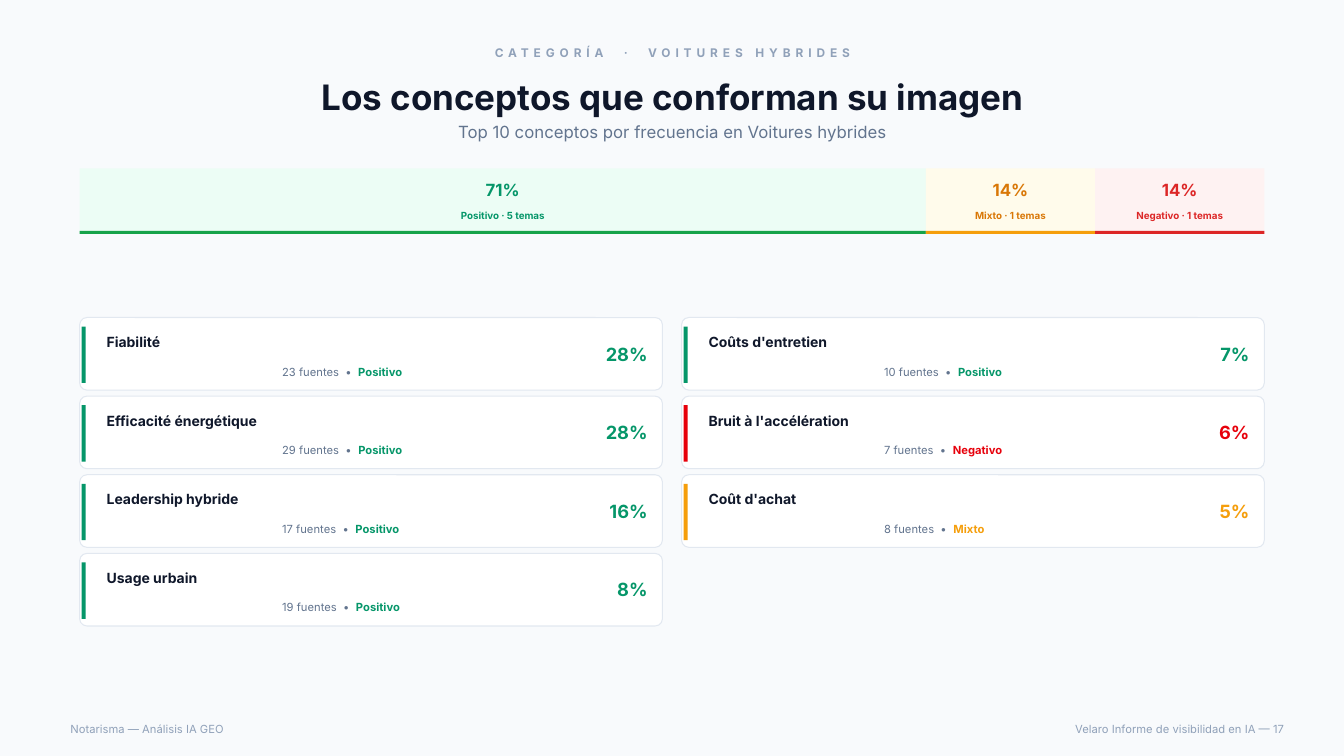
import pptx
import pptx.util
import pptx.dml.color
import pptx.enum.shapes
import pptx.enum.text

Inches, Pt = pptx.util.Inches, pptx.util.Pt
RGB = pptx.dml.color.RGBColor.from_string
ALIGN = pptx.enum.text.PP_ALIGN
ANCHOR = pptx.enum.text.MSO_ANCHOR
SHAPE = pptx.enum.shapes.MSO_SHAPE

THEME = {
    "font": "Inter",
    "color": {
        "back": "F8FAFC", "card": "FFFFFF", "edge": "E2E8F0",
        "ink": "0F172A", "soft": "62748E", "pale": "90A1B9",
    },
    # tone: (band fill, band line, band text, card accent)
    "tone": {
        "Positivo": ("ECFDF5", "16A34A", "059669", "059669"),
        "Mixto": ("FFFBEB", "F59E0B", "D97706", "F59E0B"),
        "Negativo": ("FEF2F2", "DC2626", "DC2626", "E7000B"),
    },
    "type": {
        "kicker": {"size": Pt(8.5), "bold": True},
        "title": {"size": Pt(25), "bold": True},
        "lead": {"size": Pt(12), "bold": False},
        "foot": {"size": Pt(8), "bold": False},
        "share": {"size": Pt(12), "bold": True},
        "topics": {"size": Pt(7), "bold": True},
        "name": {"size": Pt(10), "bold": True},
        "meta": {"size": Pt(8), "bold": False},
        "mood": {"size": Pt(8), "bold": True},
        "score": {"size": Pt(13), "bold": True},
    },
}
COLOR, TONE = THEME["color"], THEME["tone"]

deck = pptx.Presentation()
deck.slide_width, deck.slide_height = Inches(13.33), Inches(7.5)
slide = deck.slides.add_slide(deck.slide_layouts[5])
slide.background.fill.solid()
slide.background.fill.fore_color.rgb = RGB(COLOR["back"])


def block(kind, left, top, width, height, fill):
    shape = slide.shapes.add_shape(
        kind, Inches(left), Inches(top), Inches(width), Inches(height))
    shape.shadow.inherit = False
    shape.fill.solid()
    shape.fill.fore_color.rgb = RGB(fill)
    shape.line.fill.background()
    return shape


def write(area, parts, align=ALIGN.LEFT, anchor=ANCHOR.MIDDLE, shape=None):
    """Fill a new text box, or the given shape, with (text, type, colour) runs."""
    left, top, width, height = (Inches(side) for side in area)
    if shape is None:
        shape = slide.shapes.add_textbox(left, top, width, height)
    place = {"left": left, "top": top, "width": width, "height": height}
    for key, value in place.items():
        setattr(shape, key, value)
    frame = shape.text_frame
    setup = {"word_wrap": True, "vertical_anchor": anchor,
             "auto_size": pptx.enum.text.MSO_AUTO_SIZE.NONE}
    for key, value in setup.items():
        setattr(frame, key, value)
    para = frame.paragraphs[0]
    para.alignment = align
    for text, kind, color in parts:
        run = para.add_run()
        run.text = text
        run.font.name = THEME["font"]
        run.font.color.rgb = RGB(color)
        for key, value in THEME["type"][kind].items():
            setattr(run.font, key, value)
    return shape


# Heading
kicker = write((0.6, 0.4, 12.14, 0.25),
               [("CATEGORÍA  ·  VOITURES HYBRIDES", "kicker", COLOR["pale"])],
               ALIGN.CENTER)
kicker.text_frame.paragraphs[0].runs[0].font._element.set("spc", "350")
write((0.6, 0.68, 12.14, 0.56),
      [("Los conceptos que conforman su imagen", "title", COLOR["ink"])],
      ALIGN.CENTER, shape=slide.shapes.title)
write((0.6, 1.18, 12.14, 0.25),
      [("Top 10 conceptos por frecuencia en Voitures hybrides", "lead", COLOR["soft"])],
      ALIGN.CENTER)

# Footer
write((0.6, 7.12, 5.97, 0.22),
      [("Notarisma — Análisis IA GEO", "foot", COLOR["pale"])])
write((6.81, 7.12, 6.03, 0.22),
      [("Velaro Informe de visibilidad en IA — 17", "foot", COLOR["pale"])],
      ALIGN.RIGHT)

# Tone band: each part is as wide as its number of topics
bands = [("Positivo", 5, "71%"), ("Mixto", 1, "14%"), ("Negativo", 1, "14%")]
unit = 11.75 / sum(count for tone, count, share in bands)
left = 0.79
for tone, count, share in bands:
    fill, line, ink, accent = TONE[tone]
    width = count * unit
    block(SHAPE.RECTANGLE, left, 1.67, width, 0.65, fill)
    block(SHAPE.RECTANGLE, left, 2.29, width, 0.03, line)
    write((left, 1.74, width, 0.28), [(share, "share", ink)], ALIGN.CENTER)
    write((left, 2.03, width, 0.22),
          [(f"{tone} · {count} temas", "topics", ink)], ALIGN.CENTER)
    left += width

# Concept cards, filled column by column
cards = [
    ("Fiabilité", 23, "Positivo", "28%"),
    ("Efficacité énergétique", 29, "Positivo", "28%"),
    ("Leadership hybride", 17, "Positivo", "16%"),
    ("Usage urbain", 19, "Positivo", "8%"),
    ("Coûts d'entretien", 10, "Positivo", "7%"),
    ("Bruit à l'accélération", 7, "Negativo", "6%"),
    ("Coût d'achat", 8, "Mixto", "5%"),
]
rows = 4
for index, (name, count, tone, score) in enumerate(cards):
    col, row = divmod(index, rows)
    left, top = 0.79 + col * 5.97, 3.15 + row * 0.78
    accent = TONE[tone][3]
    card = block(SHAPE.ROUNDED_RECTANGLE, left, top, 5.78, 0.72, COLOR["card"])
    card.adjustments[0] = 0.1
    card.line.color.rgb = RGB(COLOR["edge"])
    card.line.width = Pt(0.75)
    block(SHAPE.RECTANGLE, left + 0.02, top + 0.09, 0.04, 0.56, accent)
    write((left + 0.17, top + 0.11, 4.53, 0.27),
          [(name, "name", COLOR["ink"])], anchor=ANCHOR.TOP)
    write((left + 1.91, top + 0.42, 2.79, 0.22),
          [(f"{count} fuentes  •  ", "meta", COLOR["soft"]), (tone, "mood", accent)],
          anchor=ANCHOR.TOP)
    write((left + 5.01, top, 0.72, 0.72), [(score, "score", accent)], ALIGN.RIGHT)

deck.save("out.pptx")
